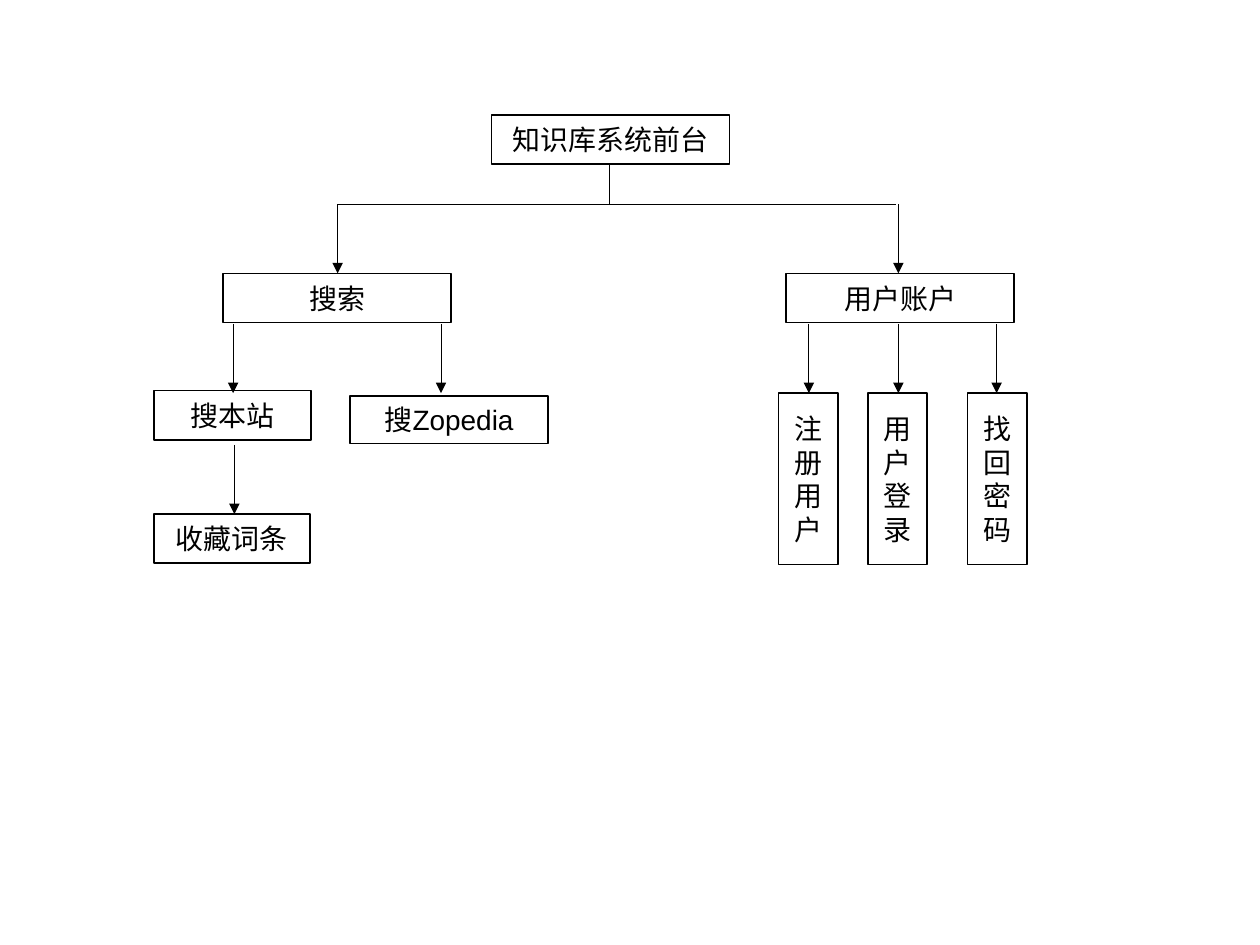
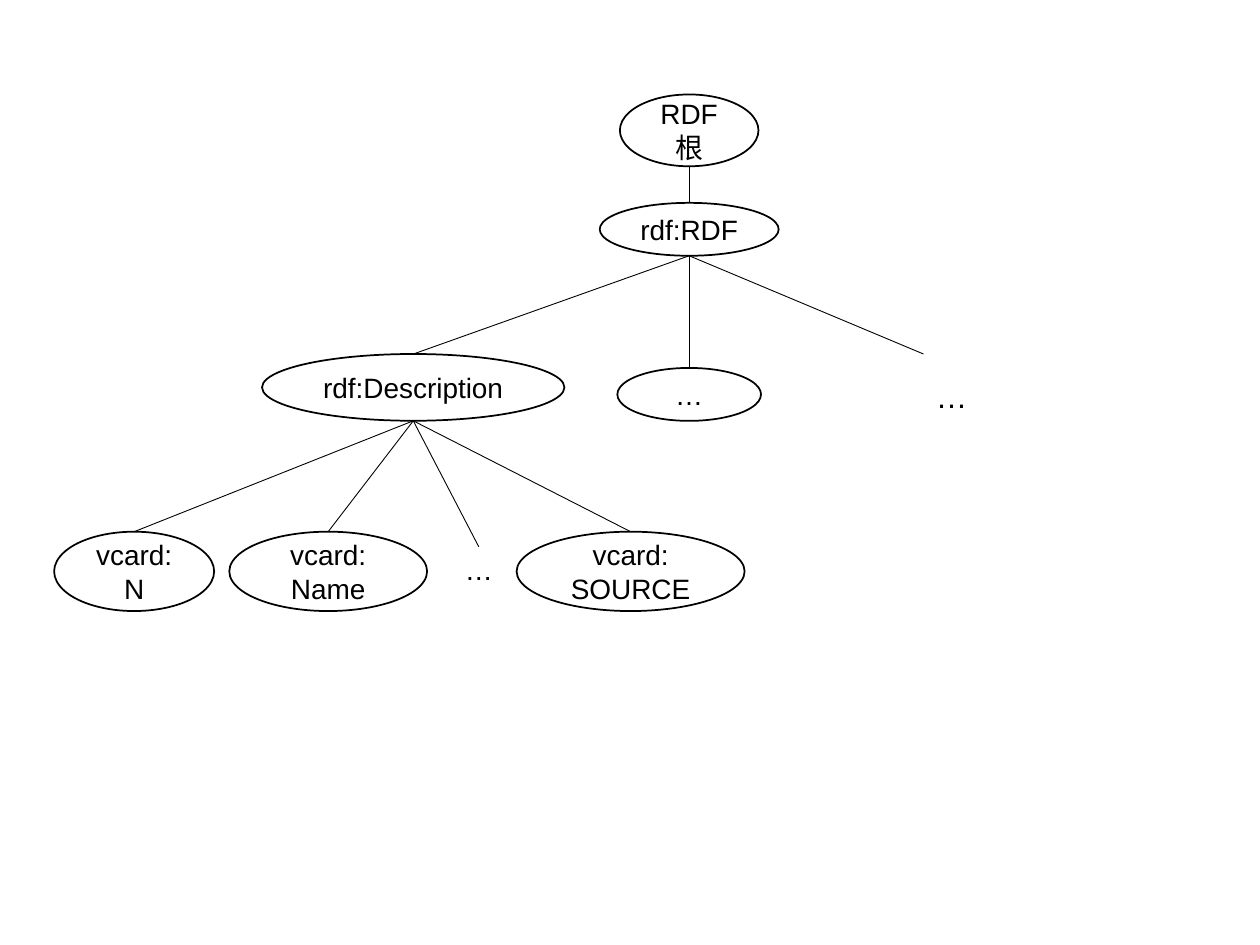
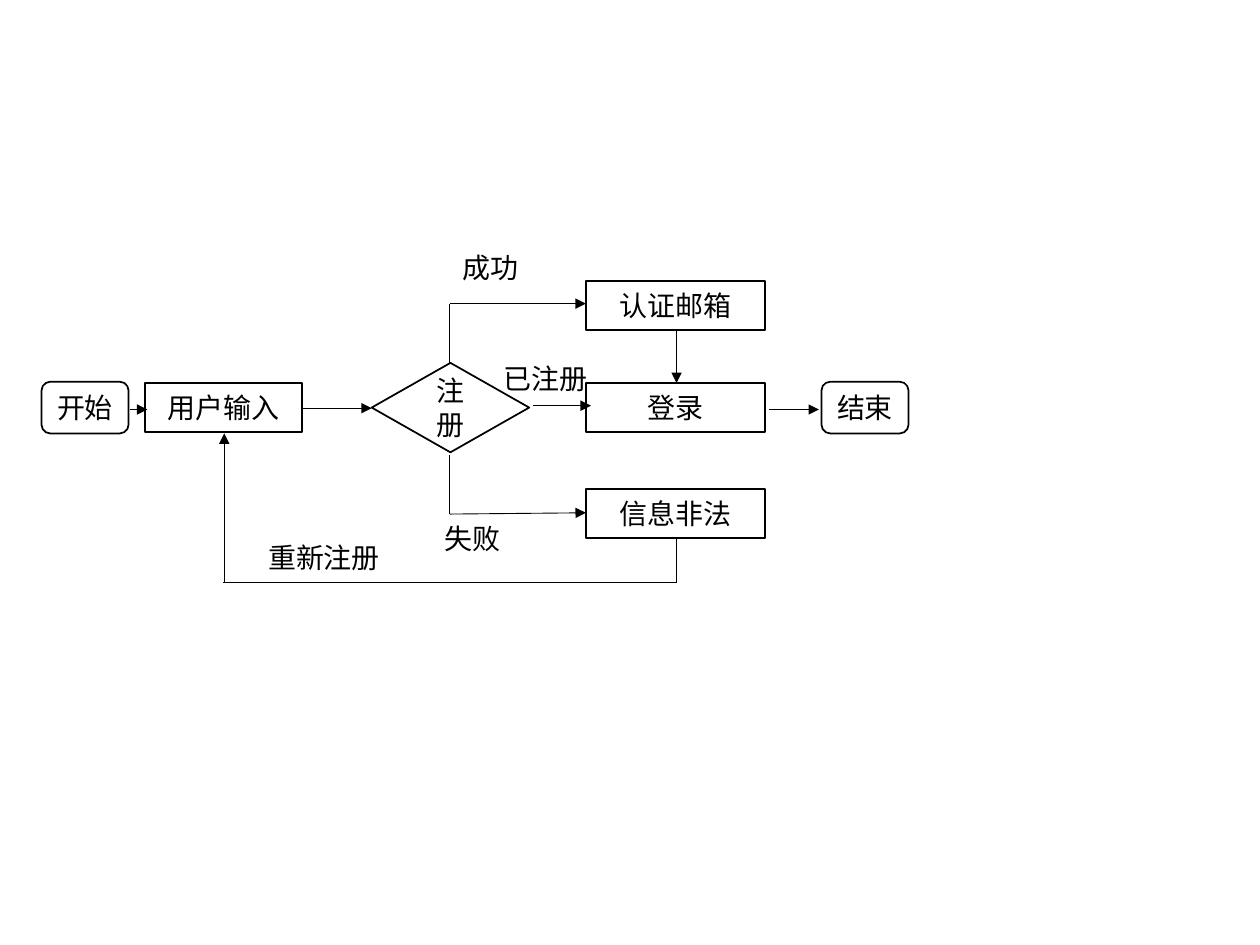
from collections import namedtuple

from lxml import etree
from pptx import Presentation
from pptx.dml.color import RGBColor
from pptx.enum import shapes, text
from pptx.oxml import ns
from pptx.util import Inches, Pt

RECT = shapes.MSO_SHAPE.RECTANGLE
OVAL = shapes.MSO_SHAPE.OVAL
DIAMOND = shapes.MSO_SHAPE.DIAMOND
ROUNDED = shapes.MSO_SHAPE.ROUNDED_RECTANGLE


def color(value):
    return RGBColor.from_string(value)


class Node(namedtuple("Node", "x y w h")):
    """Place of a shape in inches, with the points where lines meet it."""

    @property
    def top(self):
        return self.x + self.w / 2, self.y

    @property
    def bottom(self):
        return self.x + self.w / 2, self.y + self.h


class Diagram:
    INK, PAPER = "000000", "FFFFFF"
    LATIN, CJK = "Arial", "Noto Sans CJK SC"
    SIZE = 16

    def __init__(self, prs):
        self.prs = prs
        self.slide = None

    def new_slide(self):
        self.slide = self.prs.slides.add_slide(self.prs.slide_layouts[6])
        fill = self.slide.background.fill
        fill.solid()
        fill.fore_color.rgb = color(self.PAPER)

    def add_words(self, tf, lines, align, size, font):
        for i, line in enumerate(lines.split("\n")):
            p = tf.paragraphs[0] if i == 0 else tf.add_paragraph()
            p.alignment = align
            r = p.add_run()
            r.text = line
            r.font.size = Pt(size)
            r.font.name = font
            r.font.color.rgb = color(self.INK)
            ea = etree.SubElement(r.font._element, ns.qn("a:ea"))
            ea.set("typeface", self.CJK)

    def node(self, kind, words, x, y, w, h, font=LATIN, filled=True):
        sp = self.slide.shapes.add_shape(
            kind, Inches(x), Inches(y), Inches(w), Inches(h))
        sp.shadow.inherit = False
        if filled:
            sp.fill.solid()
            sp.fill.fore_color.rgb = color(self.PAPER)
        else:
            sp.fill.background()
        sp.line.color.rgb = color(self.INK)
        sp.line.width = Pt(1)
        tf = sp.text_frame
        tf.word_wrap = True
        tf.vertical_anchor = text.MSO_ANCHOR.MIDDLE
        self.add_words(tf, words, text.PP_ALIGN.CENTER, self.SIZE, font)
        return Node(x, y, w, h)

    def label(self, words, x, y, w, h=0.37, size=SIZE, wrap=True):
        sp = self.slide.shapes.add_textbox(
            Inches(x), Inches(y), Inches(w), Inches(h))
        tf = sp.text_frame
        tf.word_wrap = wrap
        tf.auto_size = text.MSO_AUTO_SIZE.SHAPE_TO_FIT_TEXT
        self.add_words(tf, words, text.PP_ALIGN.LEFT, size, self.LATIN)
        return Node(x, y, w, h)

    def line(self, start, end, arrow=False):
        cx = self.slide.shapes.add_connector(
            shapes.MSO_CONNECTOR.STRAIGHT,
            *(Inches(v) for v in (*start, *end)))
        cx.line.color.rgb = color(self.INK)
        cx.line.width = Pt(0.5)
        if arrow:
            tail = etree.SubElement(cx.line._get_or_add_ln(), ns.qn("a:tailEnd"))
            tail.set("type", "triangle")
        etree.SubElement(cx._element.spPr, ns.qn("a:effectLst"))

    def arrow(self, start, end):
        self.line(start, end, arrow=True)


def front_end_tree(d):
    d.new_slide()

    # Root and the two branches
    d.node(RECT, "知识库系统前台", 3.9, 0.91, 1.89, 0.39)
    d.node(RECT, "搜索", 1.77, 2.17, 1.81, 0.39)
    d.node(RECT, "用户账户", 6.24, 2.17, 1.81, 0.39)

    # Search leaves
    d.node(RECT, "搜本站", 1.22, 3.1, 1.25, 0.39)
    d.node(RECT, "搜Zopedia", 2.78, 3.14, 1.57, 0.38)
    d.node(RECT, "收藏词条", 1.22, 4.08, 1.24, 0.39)

    # Account leaves
    for words, x in (("注册用户", 6.18), ("用户登录", 6.89), ("找回密码", 7.68)):
        d.node(RECT, words, x, 3.12, 0.47, 1.36)

    # Trunk, then arrows of one length
    d.line((4.84, 1.31), (4.84, 1.62))
    d.line((2.68, 1.62), (7.11, 1.62))
    rows = {1.62: (2.68, 7.13), 2.57: (1.85, 3.5, 6.42, 7.13, 7.91), 3.53: (1.86,)}
    for y, columns in rows.items():
        for x in columns:
            d.arrow((x, y), (x, y + 0.55))


def rdf_tree(d):
    d.new_slide()

    # Upper levels
    root = d.node(OVAL, "RDF\n根", 4.92, 0.75, 1.1, 0.57)
    rdf = d.node(OVAL, "rdf:RDF", 4.76, 1.61, 1.42, 0.42)
    description = d.node(OVAL, "rdf:Description", 2.08, 2.81, 2.4, 0.53)
    sibling = d.node(OVAL, "…", 4.9, 2.92, 1.14, 0.42)
    d.label("…", 7.33, 2.94, 0.45, 0.4, size=18, wrap=False)

    # Properties
    properties = [
        d.node(OVAL, words, x, 4.22, w, 0.63)
        for words, x, w in (("vcard:N", 0.43, 1.27),
                            ("vcard:\nName", 1.82, 1.57),
                            ("vcard:\nSOURCE", 4.1, 1.81))]
    properties.append(d.label("…", 3.59, 4.34, 0.42, wrap=False))

    # Edges
    d.line(root.bottom, rdf.top)
    for end in (description.top, sibling.top, (7.33, 2.81)):
        d.line(rdf.bottom, end)
    for leaf in properties:
        d.line(description.bottom, leaf.top)


def registration_flow(d):
    d.new_slide()

    # Steps
    for words, x in (("开始", 0.33), ("结束", 6.52)):
        d.node(ROUNDED, words, x, 3.03, 0.69, 0.41, font=d.CJK, filled=False)
    d.node(RECT, "用户输入", 1.15, 3.04, 1.25, 0.39)
    d.node(DIAMOND, "注册", 2.95, 2.88, 1.25, 0.71)
    for words, y in (("认证邮箱", 2.23), ("登录", 3.04), ("信息非法", 3.88)):
        d.node(RECT, words, 4.65, y, 1.42, 0.39)

    # Main path
    for x1, x2, y in ((1.03, 1.17, 3.25), (2.4, 2.95, 3.24),
                      (4.23, 4.69, 3.22), (6.1, 6.5, 3.25)):
        d.arrow((x1, y), (x2, y))

    # Success and failure branches
    d.line((3.57, 2.88), (3.57, 2.41))
    d.arrow((3.57, 2.41), (4.65, 2.41))
    d.arrow((5.37, 2.63), (5.37, 3.04))
    d.line((3.57, 3.61), (3.57, 4.08))
    d.arrow((3.57, 4.08), (4.65, 4.07))

    # Way back to the input
    d.line((5.37, 4.28), (5.37, 4.62))
    d.line((5.37, 4.62), (1.77, 4.62))
    d.arrow((1.78, 4.62), (1.78, 3.44))

    # Branch labels
    d.label("成功", 3.57, 1.94, 0.8)
    d.label("已注册", 3.9, 2.82, 1.09)
    d.label("失败", 3.43, 4.09, 0.8)
    d.label("重新注册", 2.03, 4.24, 1.37)


def main():
    prs = Presentation()
    prs.slide_width, prs.slide_height = Inches(10), Inches(7.5)
    d = Diagram(prs)
    front_end_tree(d)
    rdf_tree(d)
    registration_flow(d)
    prs.save("out.pptx")


if __name__ == "__main__":
    main()
